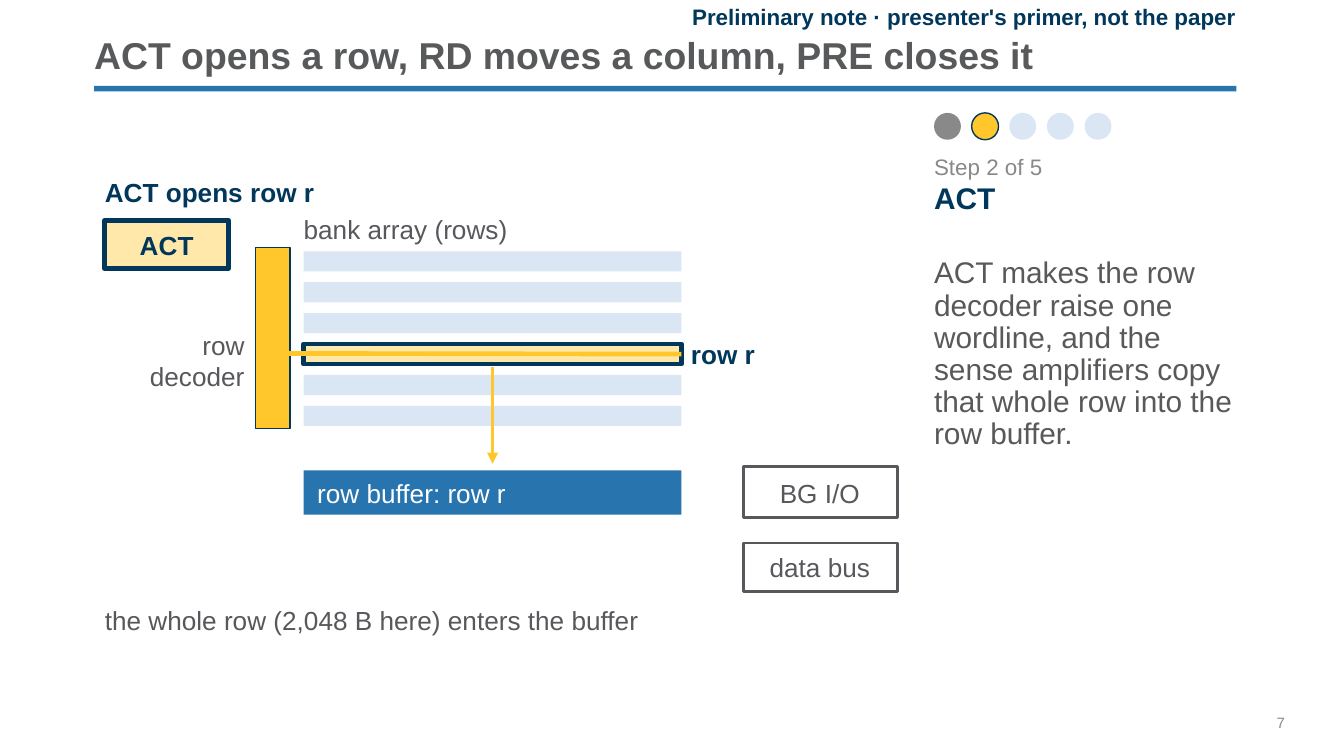
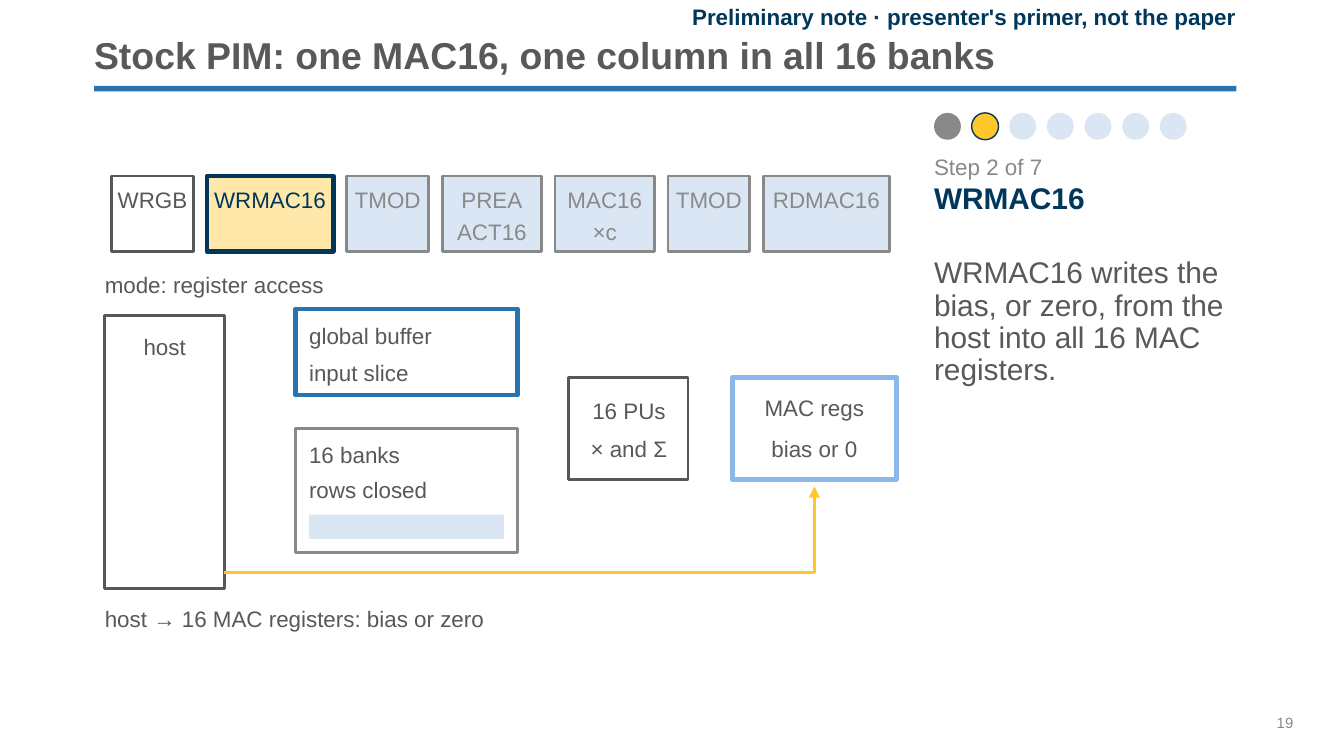
from pptx import Presentation
from pptx.dml.color import RGBColor
from pptx.enum.shapes import MSO_CONNECTOR as Connector, MSO_SHAPE as Shape
from pptx.enum.text import MSO_ANCHOR as Anchor, MSO_AUTO_SIZE as AutoSize, PP_ALIGN as Align
from pptx.oxml.ns import qn
from pptx.util import Inches, Pt
from lxml.etree import SubElement

NAVY = RGBColor(0x00, 0x37, 0x5B)
BLUE = RGBColor(0x27, 0x74, 0xAE)
SKY = RGBColor(0x8A, 0xB8, 0xE8)
PALE = RGBColor(0xDA, 0xE6, 0xF4)
GOLD = RGBColor(0xFF, 0xC7, 0x2B)
GREY = RGBColor(0x89, 0x89, 0x89)
INK = RGBColor(0x57, 0x58, 0x5B)
HEADING = RGBColor(0x58, 0x59, 0x5B)
WHITE = RGBColor(0xFF, 0xFF, 0xFF)

FONT = "Arial"
NOTE = "Preliminary note · presenter's primer, not the paper"
LEFT = 0.78
SIDE_LEFT, SIDE_WIDTH = 6.95, 2.25
ACTIVE = dict(fill=GOLD, alpha=40, line=NAVY, weight=2.5)
PLAIN = dict(fill=WHITE, line=INK)
PENDING = dict(fill=PALE, line=GREY)


def write(para, text, size=12, color=INK, bold=False, align=Align.LEFT, spacing=None):
    para.alignment = align
    if spacing:
        para.line_spacing = spacing
    span = para.add_run()
    span.text = text
    span.font.name = FONT
    span.font.size = Pt(size)
    span.font.bold = bold
    span.font.color.rgb = color


def prepare(frame, anchor=Anchor.TOP, wrap=True, auto_size=AutoSize.NONE):
    """Strip the insets of a text frame and return its first paragraph."""
    frame.margin_left = frame.margin_right = frame.margin_top = frame.margin_bottom = 0
    frame.vertical_anchor = anchor
    frame.word_wrap = wrap
    frame.auto_size = auto_size
    return frame.paragraphs[0]


def place(shape, left, top, width, height):
    shape.left, shape.top = Inches(left), Inches(top)
    shape.width, shape.height = Inches(width), Inches(height)


class Primer:
    """The deck, its shared style and the page being drawn."""

    def __init__(self):
        self.deck = Presentation()
        self.deck.slide_width, self.deck.slide_height = Inches(10), Inches(10 * 9 / 16)
        self.page = None
        self.label_size = 12

    def start(self, title, number, steps, command, explanation, label_size):
        first = self.page is None
        self.page = self.deck.slides.add_slide(self.deck.slide_layouts[1])
        self.label_size = label_size
        if first:
            self.add_master_rule()
        para = self.text_box(4.2, 0.04, 5, 0.17, anchor=Anchor.MIDDLE)
        write(para, NOTE, color=NAVY, bold=True, align=Align.RIGHT)
        self.fill_placeholders(title, explanation)
        self.progress(steps, command)
        write(self.text_box(9.5, 5.31, 0.5, 0.14), str(number), size=8, color=GREY)

    def add_master_rule(self):
        rule = self.box(0.7, 0.64, 8.5, 0.04, fill=BLUE).element
        rule.nvSpPr.cNvPr.set("id", "20")
        self.deck.slide_master.shapes.element.append(rule)

    def fill_placeholders(self, title, explanation):
        heading, body = self.page.placeholders
        place(heading, 0.7, 0.22, 8.5, 0.36)
        para = prepare(heading.text_frame, Anchor.BOTTOM, auto_size=AutoSize.SHAPE_TO_FIT_TEXT)
        write(para, title, size=20, color=HEADING, bold=True, spacing=0.9)

        place(body, SIDE_LEFT, 1.92, SIDE_WIDTH, 3.28)
        para = prepare(body.text_frame)
        properties = para._p.get_or_add_pPr()
        properties.set("marL", "0")
        properties.set("indent", "0")
        SubElement(properties, qn("a:buNone"))
        para.space_before = Pt(0)
        write(para, explanation, size=16, color=HEADING, spacing=0.9)

    def progress(self, steps, command, current=2):
        for step in range(1, steps + 1):
            if step < current:
                style = dict(fill=GREY)
            elif step == current:
                style = dict(fill=GOLD, line=NAVY, weight=0.75)
            else:
                style = dict(fill=PALE)
            left = SIDE_LEFT + 0.28 * (step - 1)
            self.box(left, 0.84, 0.2, 0.2, kind=Shape.OVAL, **style)
        para = self.text_box(SIDE_LEFT, 1.14, SIDE_WIDTH, 0.72)
        write(para, f"Step {current} of {steps}", color=GREY)
        frame = self.page.shapes[-1].text_frame
        write(frame.add_paragraph(), command, size=16, color=NAVY, bold=True)

    def text_box(self, left, top, width, height, **layout):
        box = self.page.shapes.add_textbox(
            Inches(left), Inches(top), Inches(width), Inches(height))
        return prepare(box.text_frame, **layout)

    def label(self, text, x, top, align=Align.LEFT, **style):
        """One unwrapped line; x is its left edge, centre or right edge, as align says."""
        size = self.label_size
        width = (len(text) + 1) * size / 124
        shift = {Align.LEFT: 0, Align.CENTER: width / 2, Align.RIGHT: width}[align]
        para = self.text_box(x - shift, top, width, size / 48, anchor=Anchor.MIDDLE, wrap=False)
        write(para, text, size=size, align=align, **style)

    def box(self, left, top, width, height, fill=None, alpha=None, line=None,
            weight=1.5, kind=Shape.RECTANGLE):
        shape = self.page.shapes.add_shape(
            kind, Inches(left), Inches(top), Inches(width), Inches(height))
        shape.shadow.inherit = False
        if fill is None:
            shape.fill.background()
        else:
            shape.fill.solid()
            shape.fill.fore_color.rgb = fill
        if alpha:
            color = shape.element.spPr.find(qn("a:solidFill")).find(qn("a:srgbClr"))
            SubElement(color, qn("a:alpha"), val=str(alpha * 1000))
        if line is None:
            shape.line.fill.background()
        else:
            shape.line.color.rgb = line
            shape.line.width = Pt(weight)
        return shape

    def line(self, x1, y1, x2, y2, weight=1.5, arrow=False):
        line = self.page.shapes.add_connector(
            Connector.STRAIGHT, Inches(x1), Inches(y1), Inches(x2), Inches(y2))
        line.line.color.rgb = GOLD
        line.line.width = Pt(weight)
        if arrow:
            SubElement(line.line._get_or_add_ln(), qn("a:tailEnd"), type="triangle")
        SubElement(line.element.spPr, qn("a:effectLst"))
        return line


def draw_activate(primer):
    primer.start(
        "ACT opens a row, RD moves a column, PRE closes it", 7, 5, "ACT",
        "ACT makes the row decoder raise one wordline, and the sense amplifiers "
        "copy that whole row into the row buffer.", label_size=14)
    primer.label("ACT opens row r", LEFT, 1.28, color=NAVY, bold=True)
    primer.box(LEFT, 1.64, 0.92, 0.36, **ACTIVE)
    primer.label("ACT", LEFT + 0.46, 1.68, Align.CENTER, color=NAVY, bold=True)

    primer.label("row", 1.82, 2.42, Align.RIGHT)
    primer.label("decoder", 1.82, 2.65, Align.RIGHT)
    primer.box(1.9, 1.84, 0.26, 1.35, fill=GOLD, line=NAVY, weight=0.75)

    array_left, array_width = 2.26, 2.81
    primer.label("bank array (rows)", array_left, 1.56)
    rows = [primer.box(array_left, 1.87 + 0.23 * index, array_width, 0.15,
                       **(ACTIVE if index == 3 else dict(fill=PALE)))
            for index in range(6)]
    primer.label("row r", 5.14, 2.49, color=NAVY, bold=True)
    wordline = primer.line(2.15, 2.63, array_left + array_width, 2.63, weight=2.5)
    wordline.end_connect(rows[3], 3)
    middle = array_left + array_width / 2
    primer.line(middle, 2.73, middle, 3.45, arrow=True)
    primer.box(array_left, 3.5, array_width, 0.33, fill=BLUE)
    primer.label("row buffer: row r", 2.36, 3.52, color=WHITE)

    for text, top, height, text_top in (("BG I/O", 3.47, 0.38, 3.52),
                                        ("data bus", 4.04, 0.36, 4.07)):
        primer.box(5.53, top, 1.15, height, **PLAIN)
        primer.label(text, 6.1, text_top, Align.CENTER)
    primer.label("the whole row (2,048 B here) enters the buffer", LEFT, 4.47)


def draw_write_registers(primer):
    primer.start(
        "Stock PIM: one MAC16, one column in all 16 banks", 19, 7, "WRMAC16",
        "WRMAC16 writes the bias, or zero, from the host into all 16 MAC registers.",
        label_size=12)

    commands = [
        (["WRGB"], 0.61, PLAIN, INK),
        (["WRMAC16"], 0.94, ACTIVE, NAVY),
        (["TMOD"], 0.61, PENDING, GREY),
        (["PREA", "ACT16"], 0.74, PENDING, GREY),
        (["MAC16", "×c"], 0.74, PENDING, GREY),
        (["TMOD"], 0.61, PENDING, GREY),
        (["RDMAC16"], 0.94, PENDING, GREY),
    ]
    left = 0.83
    for names, width, style, color in commands:
        primer.box(left, 1.31, width, 0.56, **style)
        for index, name in enumerate(names):
            primer.label(name, left + width / 2, 1.36 + 0.24 * index, Align.CENTER, color=color)
        left += width + 0.1

    primer.label("mode: register access", LEFT, 1.99)
    host_width = 0.89
    primer.box(LEFT, 2.35, host_width, 2.03, **PLAIN)
    primer.label("host", LEFT + host_width / 2, 2.45, Align.CENTER)

    primer.box(2.2, 2.3, 1.65, 0.64, line=BLUE, weight=2.5)
    primer.box(2.2, 3.19, 1.65, 0.92, line=GREY)
    for text, top in (("global buffer", 2.37), ("input slice", 2.65),
                      ("16 banks", 3.26), ("rows closed", 3.52)):
        primer.label(text, 2.3, top)
    primer.box(2.3, 3.83, 1.45, 0.18, fill=PALE)

    primer.box(4.23, 2.81, 0.89, 0.76, **PLAIN)
    primer.box(5.45, 2.81, 1.22, 0.76, line=SKY, weight=2.5)
    for text, center, top in (("16 PUs", 4.68, 2.93), ("× and Σ", 4.68, 3.21),
                              ("MAC regs", 6.06, 2.91), ("bias or 0", 6.06, 3.21)):
        primer.label(text, center, top, Align.CENTER)

    primer.line(LEFT + host_width, 4.26, 6.06, 4.26)
    primer.line(6.06, 4.26, 6.06, 3.62, arrow=True)
    primer.label("host → 16 MAC registers: bias or zero", LEFT, 4.48)


def main():
    primer = Primer()
    draw_activate(primer)
    draw_write_registers(primer)
    primer.deck.save("out.pptx")


if __name__ == "__main__":
    main()
